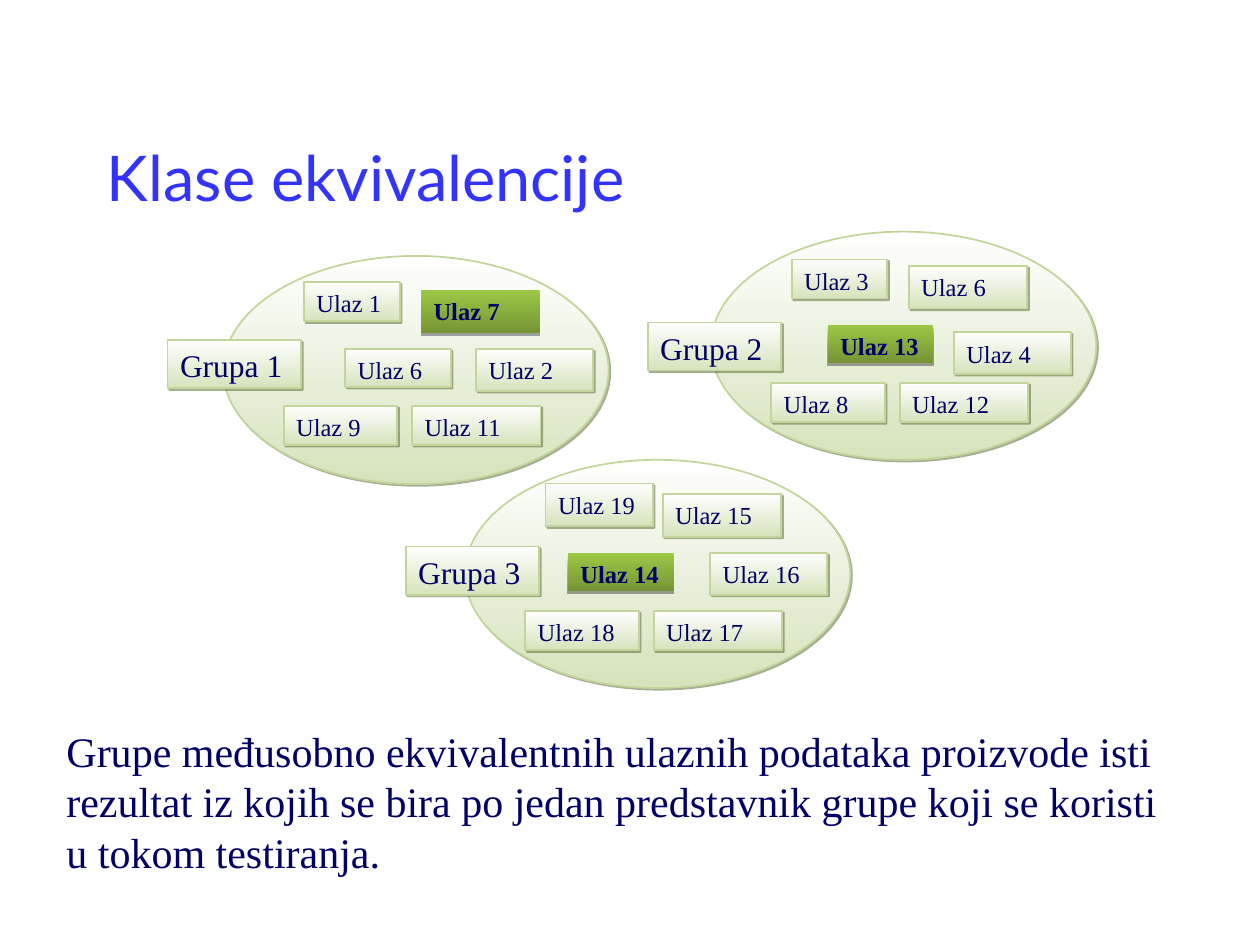
from lxml.etree import SubElement
from pptx import Presentation
from pptx.dml.color import RGBColor
from pptx.enum.shapes import MSO_SHAPE
from pptx.enum.text import MSO_ANCHOR, MSO_AUTO_SIZE, PP_ALIGN
from pptx.oxml.ns import qn
from pptx.util import Cm, Pt

SERIF = "Times New Roman"
NAVY = "000066"
BLUE = "3333FF"
PALE = ("FFFFFF", "D6E3BC")
GREEN = ("9CC746", "769535")
EDGE = "C2D69B"
OVAL = (7.77, 4.6)
TAG = (2.69, 0.97)

GROUPS = [
    dict(at=(9.37, 9.27), tag="Grupa 3", shift=(-1.19, 1.75), pick="Ulaz 14", cells=[
        ("Ulaz 19", 1.63, 0.48, 2.16, 0.86),
        ("Ulaz 14", 2.08, 1.88, 2.13, 0.76),
        ("Ulaz 16", 4.95, 1.88, 2.36, 0.84),
        ("Ulaz 15", 3.99, 0.69, 2.39, 0.86),
        ("Ulaz 18", 1.22, 3.05, 2.29, 0.79),
        ("Ulaz 17", 3.81, 3.05, 2.59, 0.79)]),
    dict(at=(4.5, 5.16), tag="Grupa 1", shift=(-1.12, 1.7), pick="Ulaz 7", cells=[
        ("Ulaz 1", 1.63, 0.53, 1.93, 0.79),
        ("Ulaz 6", 2.46, 1.88, 2.13, 0.76),
        ("Ulaz 2", 5.1, 1.88, 2.36, 0.84),
        ("Ulaz 7", 3.99, 0.69, 2.39, 0.86),
        ("Ulaz 9", 1.22, 3.02, 2.29, 0.79),
        ("Ulaz 11", 3.81, 3.02, 2.59, 0.79)]),
    dict(at=(14.33, 4.67), tag="Grupa 2", shift=(-1.27, 1.83), pick="Ulaz 13", cells=[
        ("Ulaz 3", 1.63, 0.56, 1.93, 0.79),
        ("Ulaz 13", 2.36, 1.88, 2.13, 0.76),
        ("Ulaz 4", 4.9, 2.03, 2.36, 0.84),
        ("Ulaz 6", 3.99, 0.69, 2.39, 0.86),
        ("Ulaz 8", 1.22, 3.05, 2.29, 0.79),
        ("Ulaz 12", 3.81, 3.05, 2.59, 0.79)]),
]


def tint(code):
    """Turn a hex string into a colour."""
    return RGBColor.from_string(code)


def write(frame, text, size=14, font=SERIF, color=NAVY, bold=False, anchor=MSO_ANCHOR.TOP):
    """Put left-aligned text with its format into a frame."""
    frame.word_wrap = True
    frame.vertical_anchor = anchor
    par = frame.paragraphs[0]
    par.alignment = PP_ALIGN.LEFT
    run = par.add_run()
    run.text = text
    run.font.size = Pt(size)
    run.font.name = font
    run.font.bold = bold
    run.font.color.rgb = tint(color)


def shade(shape, color, dist, angle, alpha):
    """Give a shape a sharp offset shadow."""
    shape.shadow.inherit = False
    effects = shape._element.spPr.find(qn("a:effectLst"))
    outer = SubElement(effects, qn("a:outerShdw"), blurRad="0", dist=str(Pt(dist)),
                       dir=str(angle * 60000), algn="ctr", rotWithShape="0")
    code = SubElement(outer, qn("a:srgbClr"), val=color)
    SubElement(code, qn("a:alpha"), val=str(alpha * 1000))


def blend(shape, pair):
    """Fill a shape from the first colour at the top to the second below."""
    shape.fill.gradient()
    shape.fill.gradient_angle = 270
    for stop, code, place in zip(shape.fill.gradient_stops, pair, (0, 1)):
        stop.color.rgb = tint(code)
        stop.position = place


def add_form(group, kind, left, top, width, height, chosen=False):
    """Add a pale form, or a green one when chosen."""
    shape = group.shapes.add_shape(kind, Cm(left), Cm(top), Cm(width), Cm(height))
    blend(shape, GREEN if chosen else PALE)
    if chosen:
        shape.line.fill.background()
        shade(shape, "000000", 1.8, 90, 35)
    else:
        shape.line.color.rgb = tint(EDGE)
        shape.line.width = Pt(1)
        shade(shape, "4E6128", 1.4, 45, 50)
    return shape


def add_class(slide, at, tag, shift, pick, cells):
    """Add an oval with its inputs and its name tag."""
    left, top = at
    group = slide.shapes.add_group_shape()
    group.name = tag
    add_form(group, MSO_SHAPE.OVAL, left, top, *OVAL)
    for text, dx, dy, width, height in cells:
        chosen = text == pick
        cell = add_form(group, MSO_SHAPE.RECTANGLE, left + dx, top + dy, width, height, chosen)
        write(cell.text_frame, text, bold=chosen)
    label = add_form(group, MSO_SHAPE.RECTANGLE, left + shift[0], top + shift[1], *TAG)
    write(label.text_frame, tag, size=18)


def add_title(slide, text):
    """Place and write the title."""
    title = slide.shapes.title
    title.left, title.top, title.width, title.height = Cm(1.9), Cm(1.7), Cm(21.6), Cm(2.74)
    write(title.text_frame, text, size=36, font="Lato", color=BLUE, anchor=MSO_ANCHOR.BOTTOM)


def add_note(slide, text):
    """Add the closing text under the groups."""
    box = slide.shapes.add_textbox(Cm(1.09), Cm(14.5), Cm(23.01), Cm(3.3))
    write(box.text_frame, text, size=24, anchor=MSO_ANCHOR.MIDDLE)
    box.text_frame.auto_size = MSO_AUTO_SIZE.SHAPE_TO_FIT_TEXT


def main():
    """Build and save the slide."""
    deck = Presentation()
    deck.slide_width, deck.slide_height = Cm(25.4), Cm(19.05)
    slide = deck.slides.add_slide(deck.slide_layouts[5])
    add_title(slide, "Klase ekvivalencije")
    for item in GROUPS:
        add_class(slide, **item)
    add_note(slide, "Grupe međusobno ekvivalentnih ulaznih podataka proizvode isti rezultat "
                    "iz kojih se bira po jedan predstavnik grupe koji se koristi u tokom testiranja.")
    deck.save("out.pptx")


if __name__ == "__main__":
    main()
